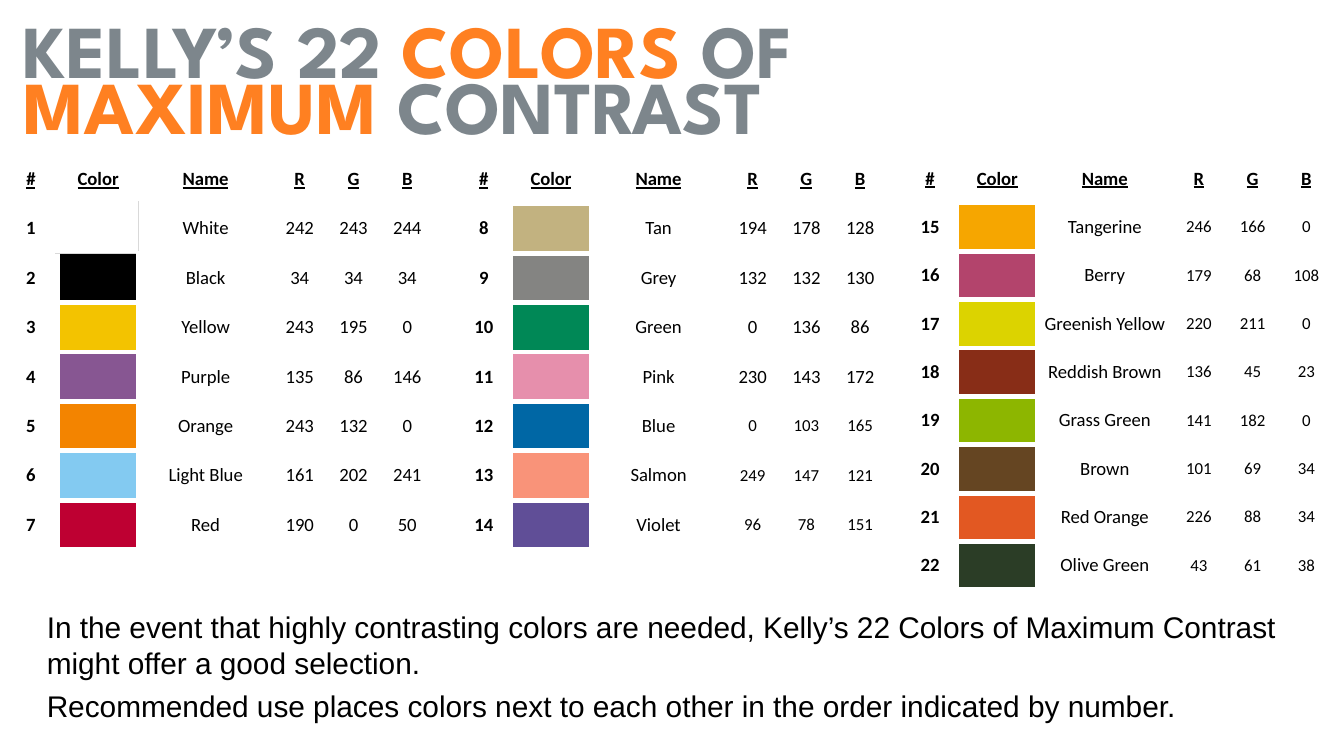
from lxml import etree
from pptx import Presentation
from pptx import util as u
from pptx.dml.color import RGBColor
from pptx.enum import text
from pptx.oxml import ns

WIDE = 10
HIGH = WIDE * 9 / 16
HUES = {"grey": "7D868C", "orange": "FF8021", "ink": "000000",
        "white": "FFFFFF", "rule": "D9D9D9"}
# Swatches shown in another colour than their listed values
SHOWN = {"White": "FFFFFF", "Black": "000000", "Light Blue": "83CAF1"}
HEADS = ["#", "Color", "Name", "R", "G", "B"]
COLS = [0.4, 0.6, 1, 0.4, 0.4, 0.4]
KELLY = [
    ("White", 242, 243, 244), ("Black", 34, 34, 34), ("Yellow", 243, 195, 0),
    ("Purple", 135, 86, 146), ("Orange", 243, 132, 0),
    ("Light Blue", 161, 202, 241), ("Red", 190, 0, 50),
    ("Tan", 194, 178, 128), ("Grey", 132, 132, 130), ("Green", 0, 136, 86),
    ("Pink", 230, 143, 172), ("Blue", 0, 103, 165), ("Salmon", 249, 147, 121),
    ("Violet", 96, 78, 151), ("Tangerine", 246, 166, 0),
    ("Berry", 179, 68, 108), ("Greenish Yellow", 220, 211, 0),
    ("Reddish Brown", 136, 45, 23), ("Grass Green", 141, 182, 0),
    ("Brown", 101, 69, 34), ("Red Orange", 226, 88, 34),
    ("Olive Green", 43, 61, 38),
]
SMALL = 12  # values are set smaller from this number on


def style(font, size, face, hue=None, bold=False):
    font.size, font.name, font.bold = u.Pt(size), face, bold
    if hue:
        font.color.rgb = RGBColor.from_string(HUES[hue])


def add_box(slide, left, top, wide, high):
    box = slide.shapes.add_textbox(*map(u.Inches, (left, top, wide, high)))
    box.text_frame.word_wrap = True
    return box.text_frame


def add_title(slide, top, wide, high, parts):
    """Write one title line from (words, hue) parts."""
    para = add_box(slide, 0.08, top, wide, high).paragraphs[0]
    style(para.font, 40, "League Spartan", bold=True)
    for words, hue in parts:
        run = para.add_run()
        run.text = words
        run.font.color.rgb = RGBColor.from_string(HUES[hue])


def add_note(slide, lines):
    frame = add_box(slide, 0.25, 4.48, 0.95 * WIDE, 1)
    for i, line in enumerate(lines):
        para = frame.add_paragraph() if i else frame.paragraphs[0]
        para.text = line
        style(para.font, 16, "Arial", "ink")
        if i:
            para.space_before = u.Pt(3.7)


def add_edges(cell, thin):
    """Draw thick white cell borders, or thin grey on the sides in thin."""
    props = cell._tc.get_or_add_tcPr()
    for side in "LRTB":
        hue, size = ("rule", 0.25) if side in thin else ("white", 3)
        line = etree.SubElement(props, ns.qn(f"a:ln{side}"), w=str(u.Pt(size)))
        fill = etree.SubElement(line, ns.qn("a:solidFill"))
        etree.SubElement(fill, ns.qn("a:srgbClr"), val=HUES[hue])


def set_pad(cell, side, end):
    cell.margin_left = cell.margin_right = u.Inches(side)
    cell.margin_top = cell.margin_bottom = u.Inches(end)


def write(cell, words, size=10, bold=False, under=False):
    cell.vertical_anchor = text.MSO_ANCHOR.MIDDLE
    para = cell.text_frame.paragraphs[0]
    para.text = str(words)
    para.alignment = text.PP_ALIGN.CENTER
    style(para.font, size, "Calibri", "ink", bold)
    if under:
        para.font.underline = True


def paint(cell, hue):
    set_pad(cell, 0, 0)
    cell.fill.solid()
    cell.fill.fore_color.rgb = RGBColor.from_string(hue)


def add_list(slide, left, high, first, last, tight=False):
    """List the colours numbered first to last; tight drops cell padding."""
    count = last - first + 2
    frame = slide.shapes.add_table(count, len(COLS), *map(
        u.Inches, (left, 1.15, sum(COLS), high)))
    table = frame.table
    table.first_row = table.horz_banding = False
    for col, wide in zip(table.columns, COLS):
        col.width = u.Inches(wide)
    for row in table.rows:
        row.height = u.Inches(high / count)
    # Grey hairlines mark the white swatch, shared with its neighbours
    thin = {(1, 1): "RB", (1, 2): "L", (2, 1): "T"} if first == 1 else {}
    for r in range(count):
        for c in range(len(COLS)):
            cell = table.cell(r, c)
            add_edges(cell, thin.get((r, c), ""))
            cell.fill.background()
            if r and tight:
                set_pad(cell, 0, 0)
            elif r and c > 2:
                set_pad(cell, 0.05, 0.03)
    for c, head in enumerate(HEADS):
        write(table.cell(0, c), head, bold=True, under=True)
    for r, num in enumerate(range(first, last + 1), 1):
        name, *rgb = KELLY[num - 1]
        write(table.cell(r, 0), num, bold=True)
        paint(table.cell(r, 1), SHOWN.get(name, str(RGBColor(*rgb))))
        write(table.cell(r, 2), name)
        for c, value in enumerate(rgb, 3):
            write(table.cell(r, c), value, 9 if num >= SMALL else 10)


def main():
    deck = Presentation()
    deck.slide_width, deck.slide_height = u.Inches(WIDE), u.Inches(HIGH)
    slide = deck.slides.add_slide(deck.slide_layouts[6])
    add_note(slide, [
        "In the event that highly contrasting colors are needed, Kelly’s 22 "
        "Colors of Maximum Contrast might offer a good selection.",
        "Recommended use places colors next to each other in the order "
        "indicated by number."])
    add_list(slide, 0.03, 2.94, 1, 7)
    add_list(slide, 6.72, 3.24, 15, 22, tight=True)
    add_title(slide, -0.02, 8.67, 0.83, [
        ("KELLY’S 22 ", "grey"), ("COLORS ", "orange"), ("OF", "grey")])
    add_title(slide, 0.4, 9.3, 0.76, [
        ("MAXIMUM ", "orange"), ("CONTRAST", "grey")])
    add_list(slide, 3.4, 2.94, 8, 14)
    deck.save("out.pptx")


if __name__ == "__main__":
    main()
